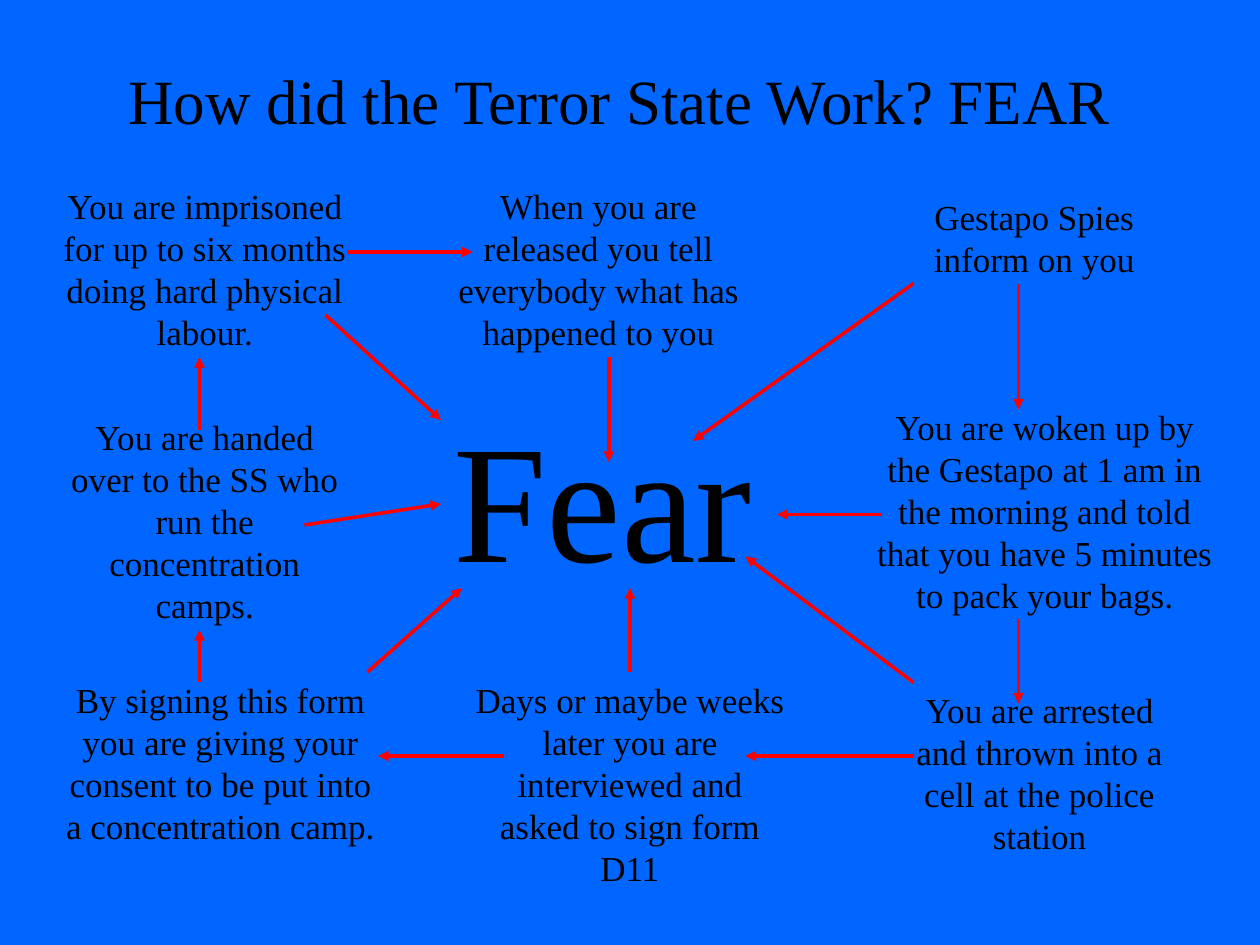
from lxml import etree
from pptx import Presentation
from pptx.dml.color import RGBColor
from pptx.enum.shapes import MSO_CONNECTOR
from pptx.enum.text import MSO_ANCHOR, MSO_AUTO_SIZE, PP_ALIGN
from pptx.oxml.ns import qn
from pptx.util import Cm, Pt

BLUE = RGBColor(0x00, 0x66, 0xFF)
RED = RGBColor(0xFF, 0x00, 0x00)
BLACK = RGBColor(0x00, 0x00, 0x00)
FONT = "Times New Roman"
LINE = MSO_CONNECTOR.STRAIGHT
LEFT, CENTER = PP_ALIGN.LEFT, PP_ALIGN.CENTER
TOP, MIDDLE = MSO_ANCHOR.TOP, MSO_ANCHOR.MIDDLE
GROW, FIXED = MSO_AUTO_SIZE.SHAPE_TO_FIT_TEXT, MSO_AUTO_SIZE.NONE

# Steps in the cycle: text, left, top, width (grid units), lines of text
STEPS = [
    ("Gestapo Spies inform on you", 86, 18, 25, 2),
    ("You are woken up by the Gestapo at 1 am in the morning and told "
     "that you have 5 minutes to pack your bags.", 82, 38, 35, 5),
    ("You are arrested and thrown into a cell at the police station",
     85, 65, 28, 4),
    ("Days or maybe weeks later you are interviewed and asked to sign "
     "form D11", 44, 64, 32, 5),
    ("By signing this form you are giving your consent to be put into a "
     "concentration camp.", 5, 64, 32, 4),
    ("You are handed over to the SS who run the concentration camps.",
     5, 39, 29, 5),
    ("You are imprisoned for up to six months doing hard physical labour.",
     3, 17, 33, 4),
    ("When you are released you tell everybody what has happened to you",
     41, 17, 32, 4),
]
FORM = 3  # index of the step whose top side feeds the centre

# Arrows from each step to the next: x1, y1, x2, y2 (grid units)
CYCLE = [
    (97, 27, 97, 39), (97, 59, 97, 67), (87, 72, 71, 72), (48, 72, 36, 72),
    (19, 65, 19, 60), (19, 41, 19, 34), (33, 24, 45, 24), (58, 34, 58, 44),
]

# Arrows from the steps to the central word
INWARD = [
    (35, 64, 44, 56), (87, 65, 71, 53), (84, 49, 74, 49),
    (87, 27, 66, 42), (31, 30, 42, 40), (29, 50, 42, 48),
]


def grid(num):
    """Slide grid: 120 by 90 units on 25.4 by 19.05 cm."""
    return Cm(num * 25.4 / 120)


def add_text(slide, text, left, top, width, height, *, size=20,
             align=CENTER, anchor=TOP, fit=GROW):
    box = slide.shapes.add_textbox(grid(left), grid(top), grid(width), height)
    frame = box.text_frame
    frame.word_wrap = True
    frame.auto_size = fit
    frame.vertical_anchor = anchor
    para = frame.paragraphs[0]
    para.alignment = align
    run = para.add_run()
    run.text = text
    run.font.name = FONT
    run.font.size = Pt(size)
    run.font.color.rgb = BLACK
    return box


def add_arrow(slide, x1, y1, x2, y2):
    arrow = slide.shapes.add_connector(
        LINE, grid(x1), grid(y1), grid(x2), grid(y2))
    arrow.line.color.rgb = RED
    arrow.line.width = Pt(2)
    ln = arrow.line._get_or_add_ln()
    etree.SubElement(ln, qn("a:tailEnd"), type="triangle")
    etree.SubElement(arrow._element.spPr, qn("a:effectLst"))
    return arrow


def main():
    deck = Presentation()
    deck.slide_width, deck.slide_height = Cm(25.4), Cm(19.05)
    slide = deck.slides.add_slide(deck.slide_layouts[6])
    fill = slide.background.fill
    fill.solid()
    fill.fore_color.rgb = BLUE

    # Title
    add_text(slide, "How did the Terror State Work? FEAR", 8, 2, 102,
             grid(15), size=36, anchor=MIDDLE, fit=FIXED)

    # Cycle of steps, each followed by its arrow
    boxes = []
    for (text, left, top, width, lines), ends in zip(STEPS, CYCLE):
        height = Cm(0.25 + 0.85 * lines)
        boxes.append(add_text(slide, text, left, top, width, height))
        add_arrow(slide, *ends)

    # Central word and the arrows that lead to it
    add_text(slide, "Fear", 42, 37, 33, Cm(4.32), size=96, align=LEFT)
    for ends in INWARD:
        add_arrow(slide, *ends)
    joined = add_arrow(slide, 60, 64, 60, 56)
    joined.begin_connect(boxes[FORM], 0)

    deck.save("out.pptx")


if __name__ == "__main__":
    main()
